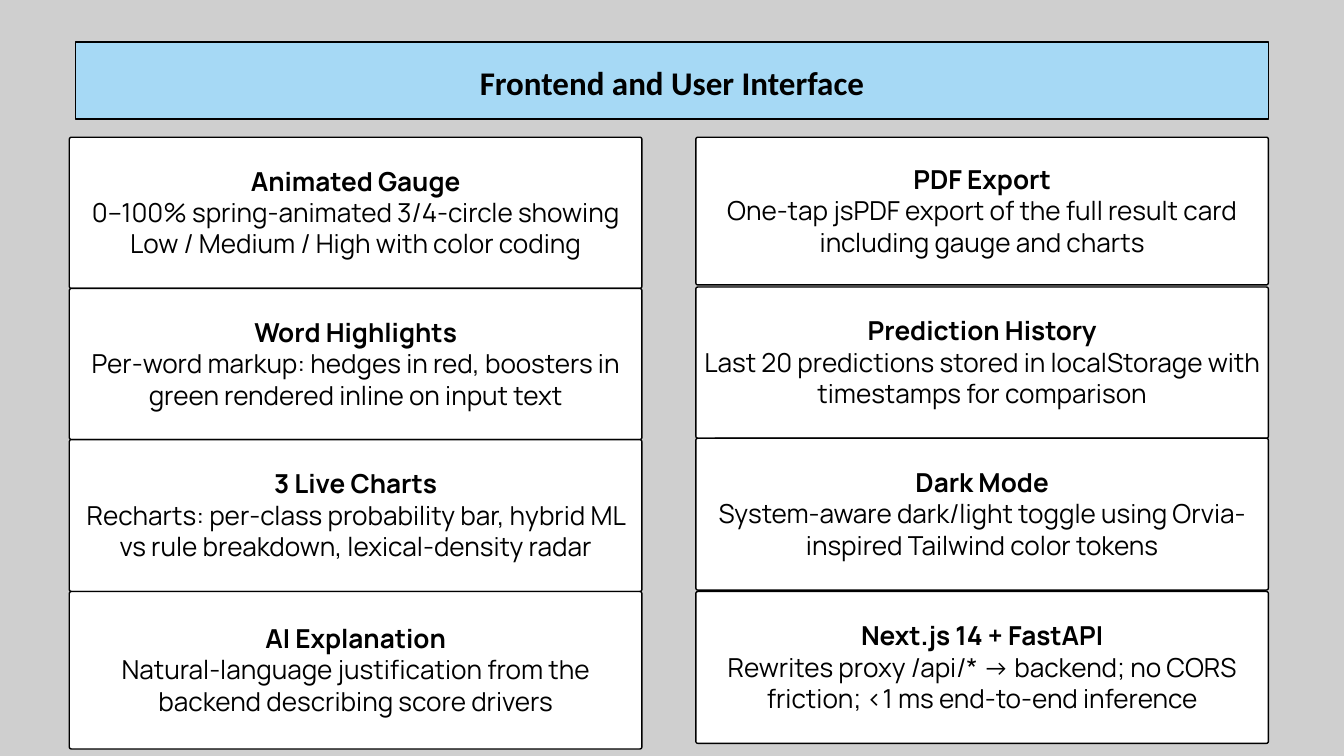
from dataclasses import dataclass

from pptx import Presentation
from pptx.dml.color import RGBColor
from pptx.enum.shapes import MSO_SHAPE
from pptx.enum.text import MSO_ANCHOR, PP_ALIGN
from pptx.util import Pt

RECT, ROUNDED = MSO_SHAPE.RECTANGLE, MSO_SHAPE.ROUNDED_RECTANGLE
MIDDLE, CENTER = MSO_ANCHOR.MIDDLE, PP_ALIGN.CENTER

TITLE = "Frontend and User Interface"
LEFT_CARDS = [
    ("Animated Gauge",
     "0–100% spring-animated 3/4-circle showing Low / Medium / High with color coding"),
    ("Word Highlights",
     "Per-word markup: hedges in red, boosters in green rendered inline on input text"),
    ("3 Live Charts",
     "Recharts: per-class probability bar, hybrid ML vs rule breakdown, lexical-density radar"),
    ("AI Explanation",
     "Natural-language justification from the backend describing score drivers"),
]
RIGHT_CARDS = [
    ("PDF Export",
     "One-tap jsPDF export of the full result card including gauge and charts"),
    ("Prediction History",
     "Last 20 predictions stored in localStorage with timestamps for comparison"),
    ("Dark Mode",
     "System-aware dark/light toggle using Orvia-inspired Tailwind color tokens"),
    ("Next.js 14 + FastAPI",
     "Rewrites proxy /api/* → backend; no CORS friction; <1 ms end-to-end inference"),
]

# Each column: left edge, cards, and the (top, height) of each card, in px
COLUMNS = [
    (99, LEFT_CARDS, [(196, 216), (412, 216), (628, 217), (845, 225)]),
    (994, RIGHT_CARDS, [(196, 211), (410, 216), (626, 217), (845, 217)]),
]
CARD_W = 818
CARD_RADIUS = 3
TITLE_BOX = (108, 60, 1704, 110)


@dataclass(frozen=True)
class Theme:
    background: RGBColor = RGBColor(0xCF, 0xCF, 0xCF)
    banner: RGBColor = RGBColor(0xA6, 0xD9, 0xF5)
    card: RGBColor = RGBColor(0xFF, 0xFF, 0xFF)
    ink: RGBColor = RGBColor(0, 0, 0)
    line: float = 1.5
    title_font: str = "Calibri"
    title_size: float = 35.4
    title_leading: float = 49.6
    card_font: str = "Manrope"
    card_size: float = 28
    card_leading: float = 33.6


THEME = Theme()


def px(n):
    return n * 9525


def add_panel(slide, kind, box, fill, margins):
    """Add an outlined panel; margins are left, top, right, bottom in px."""
    sp = slide.shapes.add_shape(kind, *map(px, box))
    sp.shadow.inherit = False
    sp.fill.solid()
    sp.fill.fore_color.rgb = fill
    sp.line.color.rgb = THEME.ink
    sp.line.width = Pt(THEME.line)
    tf = sp.text_frame
    tf.word_wrap = True
    tf.vertical_anchor = MIDDLE
    tf.margin_left, tf.margin_top, tf.margin_right, tf.margin_bottom = map(px, margins)
    return sp


def style(p, font, size, leading, bold):
    p.alignment = CENTER
    p.line_spacing = Pt(leading)
    p.font.name = font
    p.font.size = Pt(size)
    p.font.bold = bold
    p.font.color.rgb = THEME.ink


def add_title(slide):
    sp = add_panel(slide, RECT, TITLE_BOX, THEME.banner, (0, 0, 0, 3))
    p = sp.text_frame.paragraphs[0]
    p.text = TITLE
    style(p, THEME.title_font, THEME.title_size, THEME.title_leading, True)


def add_card(slide, box, heading, body):
    sp = add_panel(slide, ROUNDED, box, THEME.card, (5, 4, 5, 6))
    sp.adjustments[0] = CARD_RADIUS / min(box[2:])
    tf = sp.text_frame
    for p, text, bold in ((tf.paragraphs[0], heading, True),
                          (tf.add_paragraph(), body, False)):
        p.text = text
        style(p, THEME.card_font, THEME.card_size, THEME.card_leading, bold)


def main():
    prs = Presentation()
    prs.slide_width, prs.slide_height = px(1920), px(1080)
    slide = prs.slides.add_slide(prs.slide_layouts[6])
    slide.background.fill.solid()
    slide.background.fill.fore_color.rgb = THEME.background

    add_title(slide)
    for left, cards, rows in COLUMNS:
        for (heading, body), (top, height) in zip(cards, rows):
            add_card(slide, (left, top, CARD_W, height), heading, body)

    prs.save("out.pptx")


if __name__ == "__main__":
    main()
